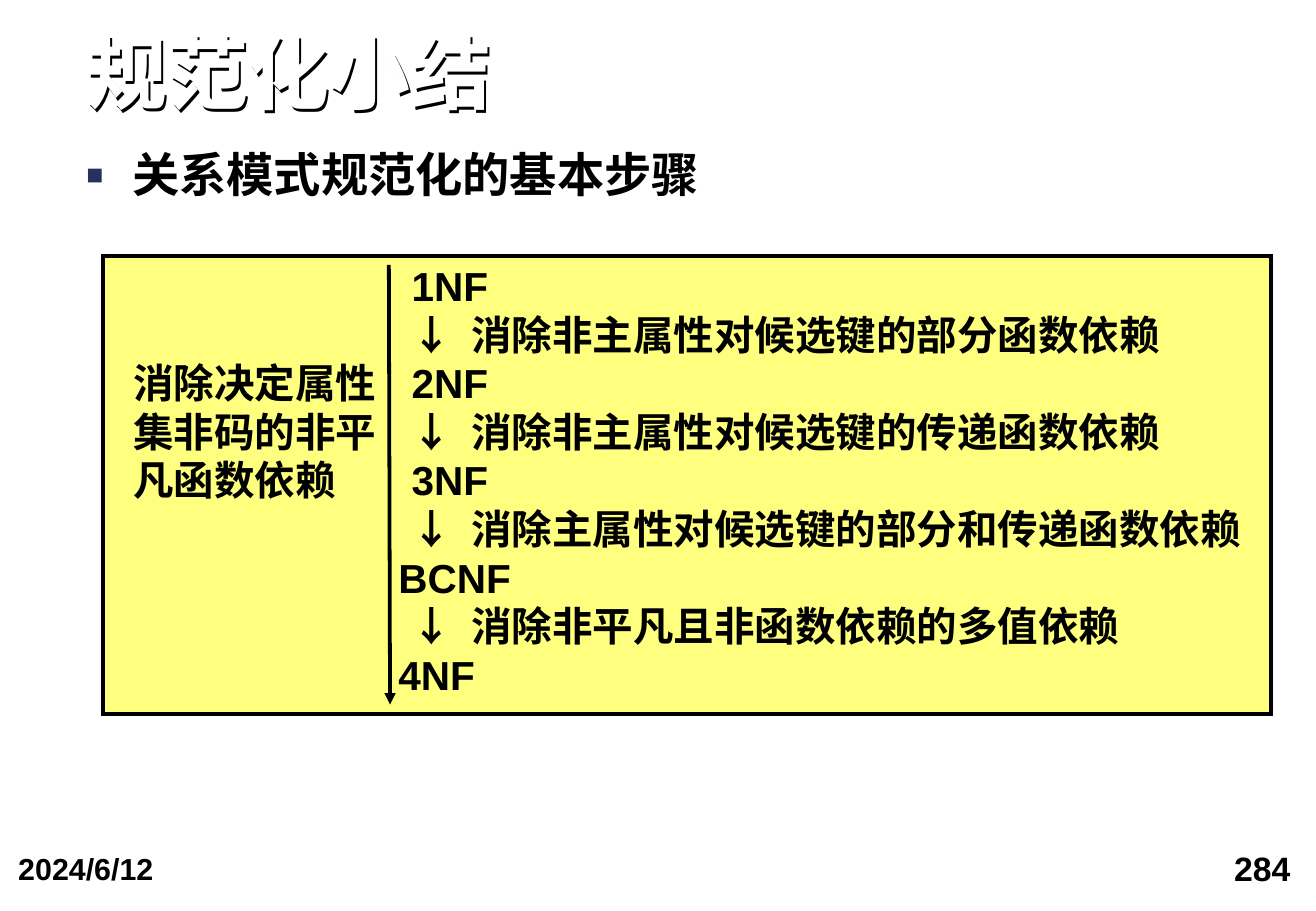
import dataclasses

import lxml.etree
import pptx
import pptx.dml.color
import pptx.enum.shapes
import pptx.enum.text
import pptx.oxml
import pptx.oxml.ns
import pptx.util

Inches = pptx.util.Inches
ALIGN = pptx.enum.text.PP_ALIGN
ANCHOR = pptx.enum.text.MSO_ANCHOR
FIT = pptx.enum.text.MSO_AUTO_SIZE


@dataclasses.dataclass(frozen=True)
class Theme:
    """Colours, fonts and type sizes of the slide."""
    ink: str = "000000"
    title: str = "FFFFFF"
    bullet: str = "27305F"
    panel: str = "FFFF00"
    font: str = "Arial"
    serif: str = "Times New Roman"
    title_size: int = 48
    body_size: int = 28
    step_size: int = 24
    page_size: int = 20
    date_size: int = 18
    line: float = 2.25


THEME = Theme()
FORM_TAB, BCNF_TAB, ARROW_TAB, RULE_TAB = 2.29, 2.18, 2.29, 2.78
KEY = "候选键"
STEPS = [
    ([FORM_TAB], ["\t1NF"]),
    ([ARROW_TAB, RULE_TAB], ["\t↓\t消除非主属性对", KEY, "的部分函数依赖"]),
    ([FORM_TAB], ["消除决定属性\t2NF"]),
    ([ARROW_TAB, RULE_TAB], ["集非码的非平\t↓\t消除非主属性对", KEY, "的传递函数依赖"]),
    ([FORM_TAB], ["凡函数依赖\t3NF"]),
    ([ARROW_TAB, RULE_TAB], ["\t↓\t消除主属性对", KEY, "的部分和传递函数依赖"]),
    ([BCNF_TAB], ["\tBCNF"]),
    ([ARROW_TAB, RULE_TAB], ["\t↓\t消除非平凡且非函数依赖的多值依赖"]),
    ([BCNF_TAB], ["\t4NF"]),
]


def rgb(value):
    """Return a colour object for a hex string."""
    return pptx.dml.color.RGBColor.from_string(value)


def add_xml(parent, tag, **attrs):
    """Append a DrawingML element and return it."""
    return lxml.etree.SubElement(
        parent, pptx.oxml.ns.qn(f"a:{tag}"), {k: str(v) for k, v in attrs.items()})


def add_run(p, text, size, color=THEME.ink, font=THEME.font):
    """Add one bold run to a paragraph."""
    r = p.add_run()
    r.text = text
    r.font.size = pptx.util.Pt(size)
    r.font.bold = True
    r.font.color.rgb = rgb(color)
    r.font.name = font


def set_frame(tf, inset_x, inset_y, fit=FIT.NONE):
    """Set wrapping, fitting and insets of a text frame."""
    tf.word_wrap = True
    tf.auto_size = fit
    tf.margin_left = tf.margin_right = Inches(inset_x)
    tf.margin_top = tf.margin_bottom = Inches(inset_y)


def place(sp, left, top, width, height):
    """Move and size a shape."""
    sp.left, sp.top = Inches(left), Inches(top)
    sp.width, sp.height = Inches(width), Inches(height)


def add_textbox(s, box, inset_x, inset_y):
    """Add a wrapping text box and return its frame."""
    tf = s.shapes.add_textbox(*map(Inches, box)).text_frame
    set_frame(tf, inset_x, inset_y)
    return tf


def add_footer(s, text, box, size, align):
    """Add a date or page number."""
    p = add_textbox(s, box, 0.13, 0.06).paragraphs[0]
    p.alignment = align
    add_run(p, text, size)


def fill_placeholder(sp, box, anchor):
    """Place a template placeholder and return its first paragraph."""
    place(sp, *box)
    tf = sp.text_frame
    set_frame(tf, 0, 0, FIT.SHAPE_TO_FIT_TEXT)
    tf.vertical_anchor = anchor
    p = tf.paragraphs[0]
    p.alignment = ALIGN.LEFT
    p.line_spacing = 0.9
    p.space_before = pptx.util.Pt(0)
    return p


def add_title(s, text):
    """Fill the title, whose unfilled shape casts the shadow of its text."""
    sp = s.shapes.title
    p = fill_placeholder(sp, (0.71, 0.28, 9.65, 0.72), ANCHOR.BOTTOM)
    add_run(p, text, THEME.title_size, THEME.title)
    sp.fill.background()
    effects = add_xml(sp._element.spPr, "effectLst")
    shadow = add_xml(effects, "outerShdw", dist=Inches(0.03), dir=2700000,
                     algn="ctr", rotWithShape=0)
    add_xml(shadow, "srgbClr", val=THEME.ink)


def add_bullet(s, text):
    """Fill the body with one square-bulleted line."""
    p = fill_placeholder(s.placeholders[1], (0.71, 1.25, 9.65, 0.42), ANCHOR.TOP)
    pPr = p._p.get_or_add_pPr()
    pPr.set("marL", str(Inches(0.38)))
    pPr.set("indent", str(Inches(-0.38)))
    add_xml(add_xml(pPr, "buClr"), "srgbClr", val=THEME.bullet)
    add_xml(pPr, "buSzPct", val=60000)
    add_xml(pPr, "buFont", typeface=THEME.font)
    add_xml(pPr, "buChar", char="■")
    add_run(p, text, THEME.body_size, font=THEME.serif)


def add_panel(s, box):
    """Add the half-transparent outlined panel."""
    sp = s.shapes.add_shape(
        pptx.enum.shapes.MSO_SHAPE.RECTANGLE, *map(Inches, box))
    sp.shadow.inherit = False
    sp.fill.solid()
    sp.fill.fore_color.rgb = rgb(THEME.panel)
    color = sp._element.spPr.find(".//" + pptx.oxml.ns.qn("a:srgbClr"))
    add_xml(color, "alpha", val=50000)
    sp.line.color.rgb = rgb(THEME.ink)
    sp.line.width = pptx.util.Pt(THEME.line)
    add_xml(sp.line._get_or_add_ln(), "miter", lim=800000)


def add_arrow(s, *ends):
    """Add a straight arrow between two points."""
    c = s.shapes.add_connector(
        pptx.enum.shapes.MSO_CONNECTOR.STRAIGHT, *map(Inches, ends))
    c.line.color.rgb = rgb(THEME.ink)
    c.line.width = pptx.util.Pt(THEME.line)
    add_xml(c.line._get_or_add_ln(), "tailEnd", type="triangle")
    add_xml(c._element.spPr, "effectLst")


def add_steps(s, box, steps):
    """Add the normal forms and the rules between them."""
    tf = add_textbox(s, box, 0.1, 0.05)
    for i, (tabs, parts) in enumerate(steps):
        p = tf.add_paragraph() if i else tf.paragraphs[0]
        tab_list = add_xml(p._p.get_or_add_pPr(), "tabLst")
        for tab in tabs:
            add_xml(tab_list, "tab", pos=Inches(tab), algn="l")
        for part in parts:
            add_run(p, part, THEME.step_size,
                    font=THEME.serif if part == KEY else THEME.font)


def main():
    """Build and save the slide."""
    prs = pptx.Presentation()
    prs.slide_width, prs.slide_height = Inches(10.83), Inches(7.5)
    s = prs.slides.add_slide(prs.slide_layouts[1])
    add_footer(s, "284", (8.01, 6.92, 2.74, 0.58), THEME.page_size, ALIGN.RIGHT)
    add_footer(s, "2024/6/12", (0.02, 6.94, 2.51, 0.63), THEME.date_size, ALIGN.LEFT)
    add_title(s, "规范化小结")
    add_bullet(s, "关系模式规范化的基本步骤")
    add_panel(s, (0.85, 2.11, 9.61, 3.77))
    add_arrow(s, 3.2, 2.18, 3.21, 5.8)
    add_steps(s, (1, 2.1, 9.84, 3.75), STEPS)
    prs.save("out.pptx")


if __name__ == "__main__":
    main()
